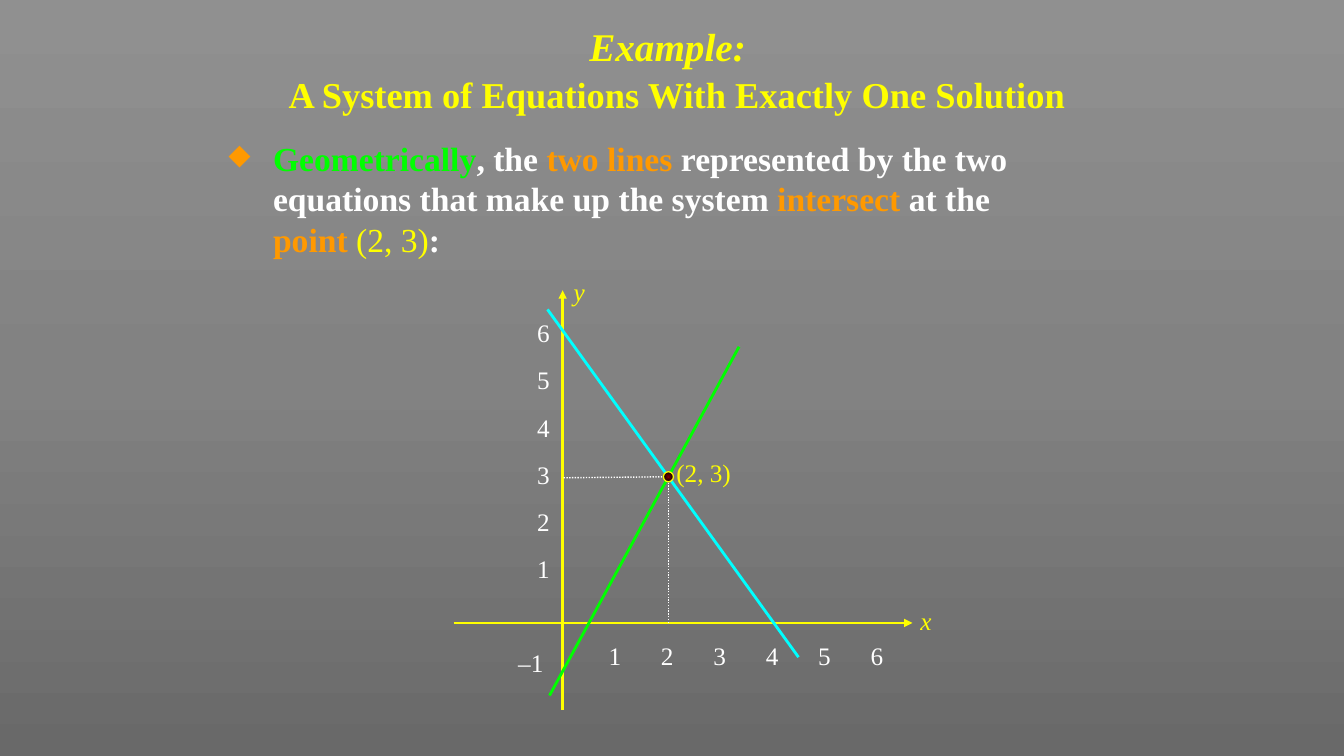
import pptx
import pptx.dml.color
import pptx.enum.dml
import pptx.enum.shapes
import pptx.enum.text
import pptx.oxml
import pptx.oxml.ns
import pptx.util
from lxml import etree
from pptx.util import Inches

FONT = "Times New Roman"
COLORS = {
    "yellow": "FFFF00", "white": "FFFFFF", "green": "00FF00",
    "orange": "FF9900", "cyan": "00FFFF", "maroon": "800000", "black": "000000",
    "gray_top": "909090", "gray_mid": "828282", "gray_low": "696969",
}
ALIGN = pptx.enum.text.PP_ALIGN
ANCHOR = pptx.enum.text.MSO_ANCHOR
qn = pptx.oxml.ns.qn


def rgb(name):
    return pptx.dml.color.RGBColor.from_string(COLORS[name])


def add_element(parent, tag, **attributes):
    return etree.SubElement(parent, qn(tag), **attributes)


def set_gradient(fill, owner, stops):
    """Fill with (position, colour) stops; return the element for its direction."""
    fill.gradient()
    gradient = owner.find(".//" + qn("a:gradFill"))
    for child in list(gradient):
        gradient.remove(child)
    stop_list = add_element(gradient, "a:gsLst")
    for position, color in stops:
        stop = add_element(stop_list, "a:gs", pos=str(position * 1000))
        add_element(stop, "a:srgbClr", val=COLORS[color])
    return gradient


def add_text(slide, box, paragraphs, size=18, color="white", bold=False, italic=False,
             align=ALIGN.LEFT, anchor=ANCHOR.TOP, line_spacing=None, gap=0):
    """Each paragraph is a list of (text, overrides) runs."""
    frame = slide.shapes.add_textbox(*map(Inches, box)).text_frame
    frame.word_wrap = True
    frame.vertical_anchor = anchor
    for index, runs in enumerate(paragraphs):
        paragraph = frame.add_paragraph() if index else frame.paragraphs[0]
        paragraph.alignment = align
        if index:
            paragraph.space_before = pptx.util.Pt(gap)
            paragraph.line_spacing = line_spacing
        for text, overrides in runs:
            style = {"size": size, "color": color, "bold": bold, "italic": italic, **overrides}
            if text == "\n":
                paragraph.add_line_break()
                continue
            run = paragraph.add_run()
            run.text = text
            run.font.name = FONT
            run.font.size = pptx.util.Pt(style["size"])
            run.font.bold = style["bold"]
            run.font.italic = style["italic"]
            run.font.color.rgb = rgb(style["color"])
    return frame


def add_bullet(paragraph, color, indent):
    properties = paragraph._p.get_or_add_pPr()
    properties.set("marL", str(Inches(indent)))
    properties.set("indent", str(-Inches(indent)))
    add_element(add_element(properties, "a:buClr"), "a:srgbClr", val=COLORS[color])
    add_element(properties, "a:buSzPct", val="85000")
    add_element(properties, "a:buChar", char="◆")


def add_center_tabs(paragraph, positions):
    tabs = add_element(paragraph._p.get_or_add_pPr(), "a:tabLst")
    for position in positions:
        add_element(tabs, "a:tab", pos=str(Inches(position)), algn="ctr")


def add_line(slide, start, end, color, width=2, dotted=False, arrow=False):
    line = slide.shapes.add_connector(
        pptx.enum.shapes.MSO_CONNECTOR.STRAIGHT, *map(Inches, start + end))
    line.line.color.rgb = rgb(color)
    line.line.width = pptx.util.Pt(width)
    if dotted:
        line.line.dash_style = pptx.enum.dml.MSO_LINE.ROUND_DOT
    if arrow:
        add_element(line.line._get_or_add_ln(), "a:tailEnd", type="triangle")
    add_element(line._element.spPr, "a:effectLst")


def add_point(slide, left, top, diameter):
    point = slide.shapes.add_shape(
        pptx.enum.shapes.MSO_SHAPE.FLOWCHART_CONNECTOR,
        *map(Inches, (left, top, diameter, diameter)))
    point.shadow.inherit = False
    gradient = set_gradient(point.fill, point._element, [(0, "maroon"), (100, "black")])
    direction = add_element(gradient, "a:path", path="shape")
    add_element(direction, "a:fillToRect", l="50000", t="50000", r="50000", b="50000")
    point.line.color.rgb = rgb("yellow")
    point.line.width = pptx.util.Pt(0.9)


def main():
    deck = pptx.Presentation()
    deck.slide_width, deck.slide_height = Inches(13.33), Inches(7.5)
    slide = deck.slides.add_slide(deck.slide_layouts[6])
    backdrop = set_gradient(slide.background.fill, slide._element,
                            [(0, "gray_top"), (50, "gray_mid"), (100, "gray_low")])
    add_element(backdrop, "a:lin", ang="5400000", scaled="0")

    # Tick labels of both axes
    x_ticks = add_text(slide, (5.43, 6.3, 3.8, 0.4),
                       [[("".join(f"\t{n}" for n in range(1, 7)), {})]])
    add_center_tabs(x_ticks.paragraphs[0], [0.57 + 0.52 * n for n in range(6)])
    y_ticks = add_text(slide, (4.8, 3.1, 0.75, 3.77),
                       [[(label, {})] for label in ("6", "5", "4", "3", "2", "1", "–1 ")],
                       align=ALIGN.RIGHT, line_spacing=1.1, gap=10)
    y_ticks.paragraphs[-1].space_before = pptx.util.Pt(42.8)

    # Title and statement
    add_text(slide, (1.67, 0, 10, 1.37),
             [[("Example: ", {"size": 28, "italic": True}), ("\n", {}),
               (" ", {"size": 28, "italic": True}),
               ("A System of Equations With Exactly One Solution", {})]],
             size=26, color="yellow", bold=True, align=ALIGN.CENTER, anchor=ANCHOR.MIDDLE)
    orange = {"color": "orange"}
    statement = add_text(slide, (2.17, 1.32, 8.3, 1.4), [[
        ("Geometrically", {"color": "green"}), (", the ", {}), ("two lines", orange),
        (" represented by the two equations that make up the system ", {}),
        ("intersect", orange), (" at the ", {}), ("point ", orange),
        ("(2, 3)", {"color": "yellow", "bold": False}), (":", {})]], size=24, bold=True)
    add_bullet(statement.paragraphs[0], "orange", 0.44)

    # Axes
    add_line(slide, (5.58, 7.04), (5.58, 2.88), "yellow", arrow=True)
    add_line(slide, (4.5, 6.18), (9.05, 6.18), "yellow", arrow=True)
    for name, box in (("y", (5.59, 2.69, 0.3, 0.4)), ("x", (9.03, 5.96, 0.38, 0.4))):
        add_text(slide, box, [[(name, {})]], color="yellow", italic=True)

    # The two lines and the guides to their intersection
    add_line(slide, (5.45, 6.9), (7.33, 3.44), "green")
    add_line(slide, (5.43, 3.07), (7.92, 6.52), "cyan")
    add_line(slide, (6.63, 6.18), (6.63, 4.72), "white", width=1, dotted=True)
    add_line(slide, (5.59, 4.74), (6.61, 4.73), "white", width=1, dotted=True)
    add_text(slide, (6.61, 4.49, 1.06, 0.4), [[("(2, 3)", {})]], color="yellow")
    add_point(slide, 6.58, 4.68, 0.1)

    deck.save("out.pptx")


if __name__ == "__main__":
    main()
